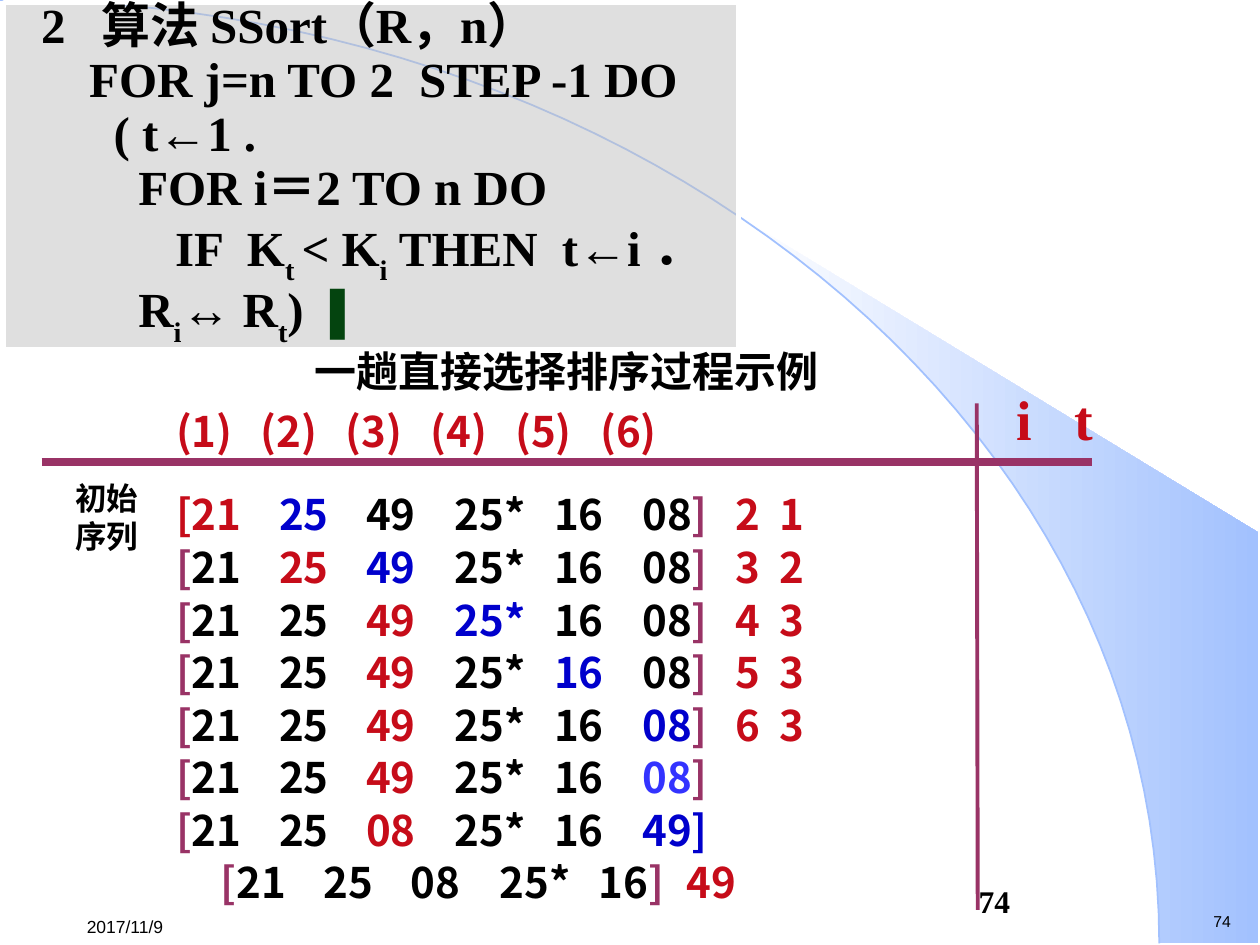
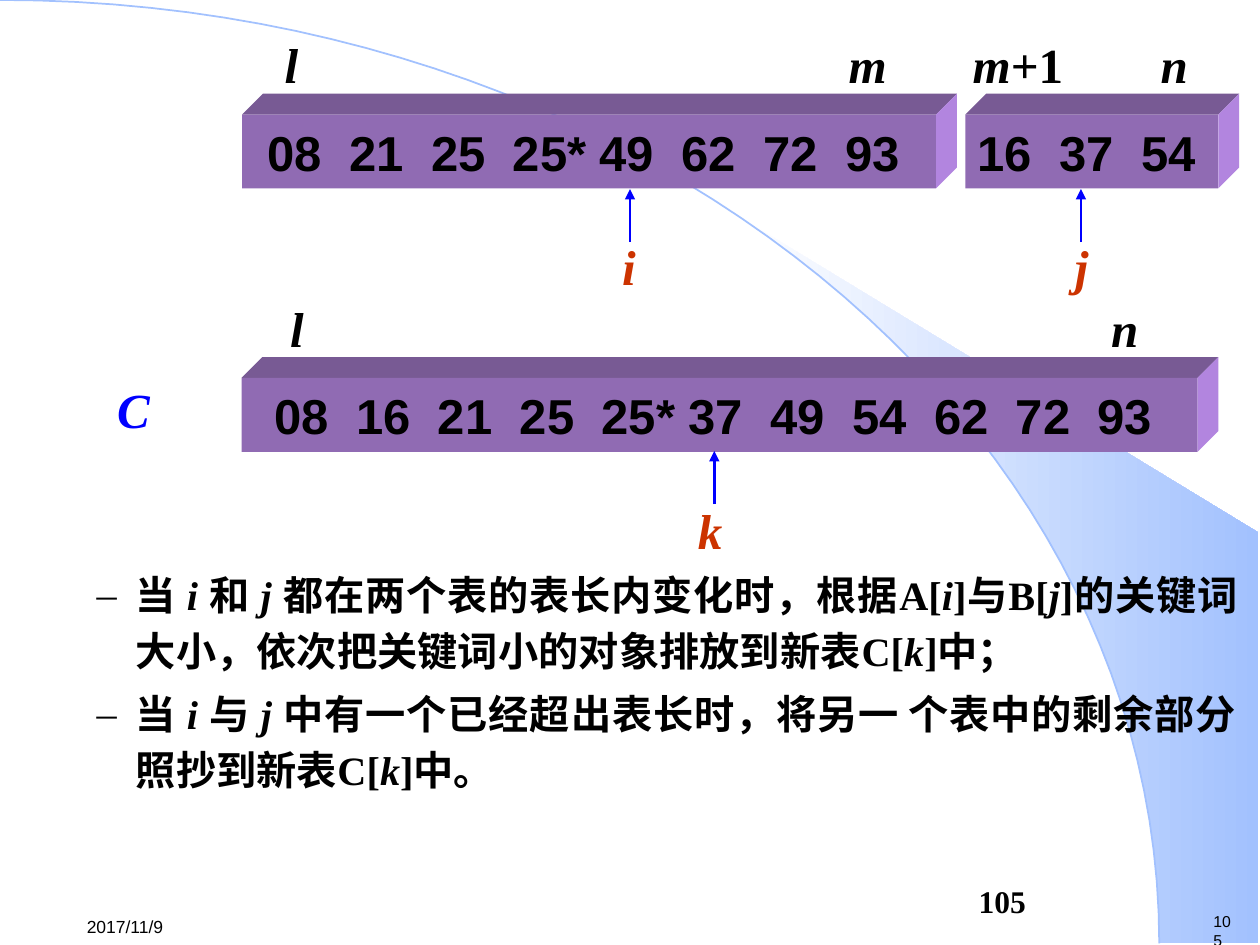
"""Build two sorting slides: a selection sort trace and a two-list merge."""
from itertools import accumulate

from lxml import etree
from pptx import Presentation
from pptx import util as u
from pptx.dml.color import RGBColor
from pptx.enum import shapes, text
from pptx.oxml import ns

Cm, Pt = u.Cm, u.Pt
BLACK = RGBColor(0, 0, 0)
WHITE = RGBColor(255, 255, 255)
RED = RGBColor(0xC6, 0x0C, 0x19)
BLUE = RGBColor(0, 0, 0xCC)
VIOLET = RGBColor(0x33, 0x33, 0xFF)
PLUM = RGBColor(0x99, 0x33, 0x66)
SKY = RGBColor(0xA2, 0xC1, 0xFE)
GREY = RGBColor(0xC0, 0xC0, 0xC0)
GREEN = RGBColor(0x04, 0x44, 0x0F)
RUST = RGBColor(0xCC, 0x33, 0)
POINTER = RGBColor(0, 0, 0xFF)
BAR_FRONT = RGBColor(0x90, 0x6B, 0xB3)
BAR_TOP = RGBColor(0x78, 0x5A, 0x94)
BAR_SIDE = RGBColor(0xB2, 0x85, 0xDF)
INK = {"K": BLACK, "R": RED, "B": BLUE, "V": VIOLET, "M": PLUM}

SERIF, SANS, CJK = "Times New Roman", "Arial", "Noto Sans CJK SC"
PLAIN = {"name": SANS, "size": Pt(10), "bold": False, "color": BLACK}
NUMBER = {"name": SERIF, "size": Pt(18), "bold": True, "color": BLACK}
KEYS = {"name": CJK, "size": Pt(24), "bold": True, "color": BLACK}
CODE = {"name": SERIF, "size": Pt(28), "bold": True, "color": BLACK}
INDEX = CODE | {"italic": True}
BAR = CODE | {"name": SANS}
BODY = CODE | {"size": Pt(23)}

DATE = "2017/11/9"
ARC = [(0, 0), (12.9, 0), (23.37, 8.51), (23.37, 19.02)]
BAND_CORNERS = [(25.37, 19.02), (25.37, 10.74)]

ALGORITHM = [
    ((0.5, 1.71), "\t2\t算法 SSort（R，n）"),
    ((1.47, 8.12), "\tFOR j=n TO 2\tSTEP -1 DO"),
    ((1.96,), "\t( t←1 ."),
    ((2.46,), "\tFOR i＝2 TO n DO"),
    ((3.2, 4.65, 11), "\tIF\tK|t |< K|i| THEN\tt←i ．"),
    ((2.46,), "\tR|i|↔ R|t|) "),
]
PASSES = [
    "R[21 B25 K49 K25* K16 K08|M] R2 R1",
    "M[|K21 R25 B49 K25* K16 K08|M] R3 R2",
    "M[|K21 K25 R49 B25* K16 K08|M] R4 R3",
    "M[|K21 K25 R49 K25* B16 K08|M] R5 R3",
    "M[|K21 K25 R49 K25* K16 B08|M] R6 R3",
    "M[|K21 K25 R49 K25* K16 V08|M]",
    "M[|K21 K25 R08 K25* K16 B49]",
    "M[|K21 K25 K08 K25* K16|M] R49",
]
PASS_STOPS = (2.08, 3.83, 5.62, 7.62, 9.4, 11.28, 12.17)
PASS_LEFT, LAST_LEFT, PASS_TOP, PASS_PITCH = 3.3, 4.2, 9.73, 1.06
POSITIONS, POSITION_PITCH = 6, 1.71
RULES = [((0.84, 9.32), (22.02, 9.32), 4.5), ((19.69, 8.13), (19.71, 18.34), 2.25)]

BARS = [
    (4.88, 2.31, 13.99, 0.51, "08 21 25 25* 49 62 72 93"),
    (19.46, 2.31, 5.1, 0.25, "16 37 54"),
    (4.87, 7.62, 19.27, 0.66, "08 16 21 25 25* 37 49 54 62 72 93"),
]
BAR_HEIGHT, BAR_DEPTH, KEY_PITCH, STAR_WIDTH = 1.49, 0.42, 1.65, 0.1
LABELS = [
    ("l", 5.49, 0.58, BLACK), ("m", 16.86, 0.58, BLACK),
    ("m|+1", 19.36, 0.58, BLACK), ("n", 23.15, 0.58, BLACK),
    ("l", 5.6, 5.89, BLACK), ("n", 22.15, 5.89, BLACK),
    ("C", 2.11, 7.52, POINTER),
    ("i", 12.29, 4.65, RUST), ("j", 21.42, 4.65, RUST), ("k", 13.82, 9.96, RUST),
]
LABEL_BASE, LABEL_STEP = 1.2, 0.5
ARROWS = [(12.7, 3.81), (21.79, 3.81), (14.4, 9.09)]
ARROW_LENGTH = 1.07
RULES_OF_MERGE = [
    "当 |i |和 |j |都在两个表的表长内变化时，根据A[|i|]与B[|j|]的关键词大小，"
    "依次把关键词小的对象排放到新表C[|k|]中；",
    "当 |i |与 |j |中有一个已经超出表长时，将另一 个表中的剩余部分照抄到新表C[|k|]中。",
]


def sub(parent, tag, **attrs):
    return etree.SubElement(parent, ns.qn(tag), attrs)


def add_run(p, words, fmt, baseline=None):
    r = p.add_run()
    r.text = words
    for key, value in fmt.items():
        if key == "color":
            r.font.color.rgb = value
        else:
            setattr(r.font, key, value)
    rpr = r._r.get_or_add_rPr()
    sub(rpr, "a:ea", typeface=CJK)
    if baseline:
        rpr.set("baseline", baseline)


def add_split(p, words, fmt, **other):
    for n, part in enumerate(words.split("|")):
        add_run(p, part, fmt | other if n % 2 else fmt)


def set_tabs(p, stops):
    tabs = sub(p._p.get_or_add_pPr(), "a:tabLst")
    for stop in stops:
        sub(tabs, "a:tab", pos=str(int(Cm(stop))), algn="l")


def style_paragraph(p, **values):
    for key, value in values.items():
        setattr(p, key, value)


def add_box(s, left, top, width, height, words="", fmt=PLAIN):
    sp = s.shapes.add_textbox(*map(Cm, (left, top, width, height)))
    tf = sp.text_frame
    tf.word_wrap = True
    p = tf.paragraphs[0]
    if words:
        add_run(p, words, fmt)
    return tf, p


def add_outline(s, points, fill=None, closed=True):
    points = [(Cm(x), Cm(y)) for x, y in points]
    builder = s.shapes.build_freeform(*points[0])
    builder.add_line_segments(points[1:], close=closed)
    sp = builder.convert_to_shape()
    sp.shadow.inherit = False
    sp.line.fill.background()
    if fill is None:
        sp.fill.background()
    else:
        sp.fill.solid()
        sp.fill.fore_color.rgb = fill
    return sp


def add_line(s, start, end, color, width, arrow=False):
    sp = s.shapes.add_connector(shapes.MSO_CONNECTOR.STRAIGHT, *map(Cm, start + end))
    sp.line.color.rgb = color
    sp.line.width = Pt(width)
    if arrow:
        sub(sp.line._get_or_add_ln(), "a:tailEnd", type="triangle")
    sub(sp._element.spPr, "a:effectLst")


def add_rect(s, at, fill):
    sp = s.shapes.add_shape(shapes.MSO_SHAPE.RECTANGLE, *map(Cm, at))
    sp.shadow.inherit = False
    sp.fill.solid()
    sp.fill.fore_color.rgb = fill
    sp.line.fill.background()
    sp.text_frame.word_wrap = True
    return sp


def arc_point(t):
    weights = ((1 - t) ** 3, 3 * t * (1 - t) ** 2, 3 * t * t * (1 - t), t ** 3)
    return tuple(sum(w * c[axis] for w, c in zip(weights, ARC)) for axis in (0, 1))


def add_slide(prs, number):
    s = prs.slides.add_slide(prs.slide_layouts[6])
    arc = [arc_point(n / 50) for n in range(51)]
    band = add_outline(s, arc[22:] + BAND_CORNERS, WHITE)
    band.fill.gradient()
    band.fill.gradient_angle = 0
    for stop, color in zip(band.fill.gradient_stops, (WHITE, SKY)):
        stop.color.rgb = color
    curve = add_outline(s, arc, closed=False)
    curve.line.color.rgb = SKY
    curve.line.width = Pt(1)
    add_box(s, 24.21, 18.26, 0.89, 0.64, number, PLAIN | {"size": Pt(9)})
    tf, _ = add_box(s, 1.5, 18.29, 2.59, 0.76, DATE)
    tf.vertical_anchor = text.MSO_ANCHOR.MIDDLE
    add_box(s, 19.48, 17.65, 5.92, 1.02, number, NUMBER)
    return s


def add_algorithm(s):
    sp = add_rect(s, (0.08, 0.05, 14.81, 6.99), GREY)
    sub(sp._element.spPr.find(".//" + ns.qn("a:srgbClr")), "a:alpha", val="50000")
    sp.line.color.rgb = WHITE
    sp.line.width = Pt(2.5)
    tf = sp.text_frame
    tf.vertical_anchor = text.MSO_ANCHOR.TOP
    for n, (stops, words) in enumerate(ALGORITHM):
        p = tf.add_paragraph() if n else tf.paragraphs[0]
        style_paragraph(p, alignment=text.PP_ALIGN.LEFT, line_spacing=0.75,
                        space_before=Pt(5.6))
        set_tabs(p, stops)
        for k, part in enumerate(words.split("|")):
            add_run(p, part, CODE, "-30000" if k % 2 else None)
    add_run(p, "▐", KEYS | {"name": SANS, "color": GREEN})


def add_trace(s):
    _, p = add_box(s, 5.89, 6.73, 11.05, 1.37, "一趟直接选择排序过程示例", KEYS)
    style_paragraph(p, alignment=text.PP_ALIGN.CENTER, line_spacing=1.1)
    heads = "\t".join(f"({n + 1})" for n in range(POSITIONS))
    _, p = add_box(s, PASS_LEFT, 8.05, 14, 1.27, heads, KEYS | {"color": RED})
    set_tabs(p, [POSITION_PITCH * n for n in range(1, POSITIONS)])
    _, p = add_box(s, 20.24, 7.62, 2.4, 1.6, "i\tt", CODE | {"size": Pt(32), "color": RED})
    set_tabs(p, [1.17])
    for start, end, width in RULES:
        add_line(s, start, end, PLUM, width)
    add_box(s, 1.27, 9.53, 2.11, 1.78, "初始序列", KEYS | {"size": Pt(18)})
    for n, row in enumerate(PASSES):
        left = LAST_LEFT if row is PASSES[-1] else PASS_LEFT
        _, p = add_box(s, left, PASS_TOP + PASS_PITCH * n, 15, 1.27)
        set_tabs(p, PASS_STOPS)
        for k, column in enumerate(row.split()):
            for m, part in enumerate(column.split("|")):
                gap = "\t" if k and not m else ""
                add_run(p, gap + part[1:], KEYS | {"color": INK[part[0]]})


def add_bar(s, left, top, width, inset, keys):
    right, bottom, d = left + width, top + BAR_HEIGHT, BAR_DEPTH
    add_outline(s, [(left, top), (left + d, top - d), (right + d, top - d),
                    (right, top)], BAR_TOP)
    add_outline(s, [(right, top), (right + d, top - d), (right + d, bottom - d),
                    (right, bottom)], BAR_SIDE)
    tf = add_rect(s, (left, top, width, BAR_HEIGHT), BAR_FRONT).text_frame
    tf.margin_left, tf.margin_right = Cm(inset), 0
    tf.vertical_anchor = text.MSO_ANCHOR.MIDDLE
    p = tf.paragraphs[0]
    p.alignment = text.PP_ALIGN.LEFT
    keys = keys.split()
    set_tabs(p, accumulate(KEY_PITCH + STAR_WIDTH * key.endswith("*") for key in keys[:-1]))
    add_run(p, "\t".join(keys), BAR)


def add_merge(s):
    for bar in BARS:
        add_bar(s, *bar)
    for words, left, top, color in LABELS:
        _, p = add_box(s, left, top, LABEL_BASE + LABEL_STEP * len(words), 1.45)
        add_split(p, words, INDEX | {"color": color}, italic=False)
    for x, y in ARROWS:
        add_line(s, (x, y + ARROW_LENGTH), (x, y), POINTER, 1.5, arrow=True)
    tf, p = add_box(s, 0.43, 11.23, 24.77, 5.56)
    for n, words in enumerate(RULES_OF_MERGE):
        p = tf.add_paragraph() if n else p
        style_paragraph(p, alignment=text.PP_ALIGN.JUSTIFY, line_spacing=1.15,
                        space_before=Pt(4.6))
        ppr = p._p.get_or_add_pPr()
        ppr.set("marL", str(int(Cm(2.06))))
        ppr.set("indent", str(int(Cm(-0.79))))
        sub(sub(ppr, "a:buClr"), "a:srgbClr", val=str(BLACK))
        sub(ppr, "a:buFont", typeface=SERIF)
        sub(ppr, "a:buChar", char="–")
        add_split(p, words, BODY, italic=True)


prs = Presentation()
prs.slide_width, prs.slide_height = Cm(25.4), Cm(19.05)
trace = add_slide(prs, "74")
add_algorithm(trace)
add_trace(trace)
add_merge(add_slide(prs, "105"))
prs.save("out.pptx")
